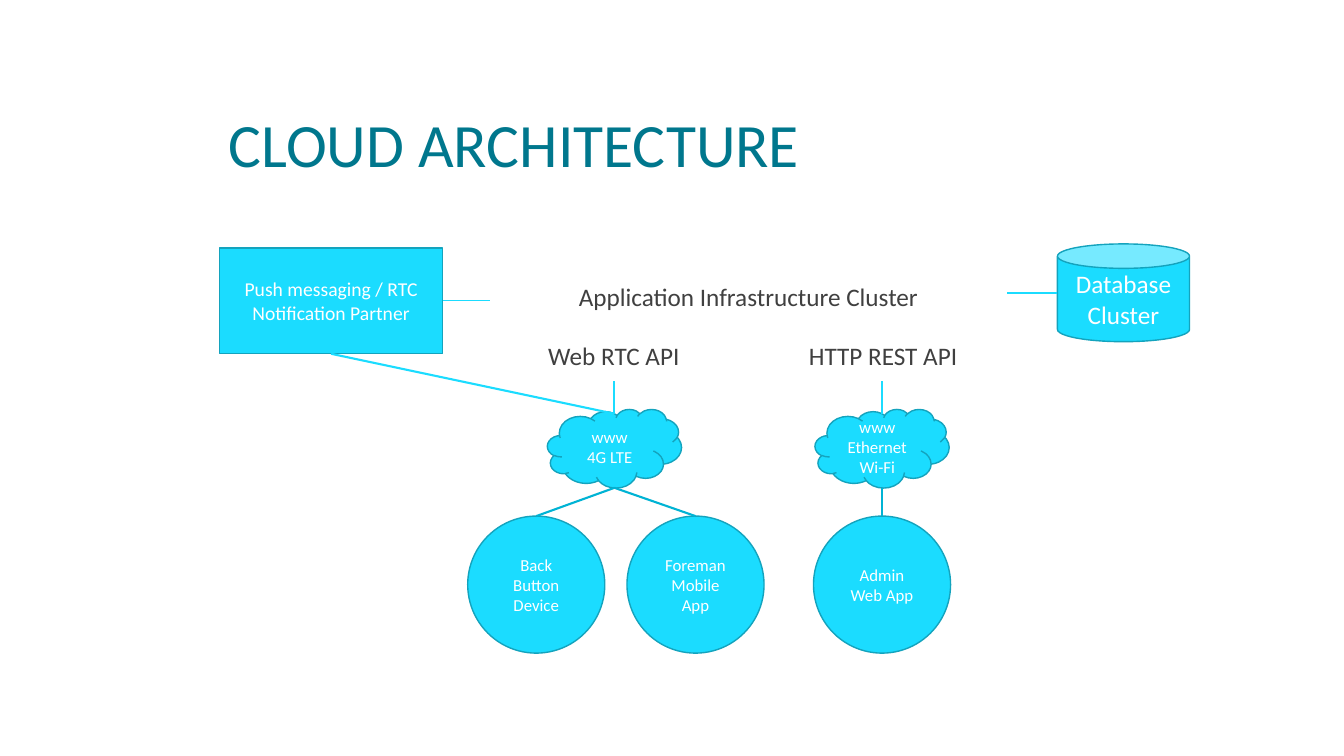
import pptx
import pptx.util
import pptx.dml.color
import pptx.enum.shapes
import pptx.enum.text
import pptx.oxml.ns
import lxml.etree

RGBColor = pptx.dml.color.RGBColor
SHAPE = pptx.enum.shapes.MSO_SHAPE
ALIGN = pptx.enum.text.PP_ALIGN
ANCHOR = pptx.enum.text.MSO_ANCHOR

TEAL = RGBColor(0x00, 0x77, 0x8D)
CYAN = RGBColor(0x1B, 0xDC, 0xFF)
OUTLINE = RGBColor(0x14, 0xA3, 0xBD)
DEVICE_LINK = RGBColor(0x00, 0xB3, 0xD4)
GRAY = RGBColor(0x40, 0x40, 0x40)
WHITE = RGBColor(0xFF, 0xFF, 0xFF)
FONT = "Calibri"

# The grid has 100 columns and 100 rows
WIDTH = pptx.util.Inches(13.33)
HEIGHT = pptx.util.Inches(7.5)


def columns(count):
    return round(WIDTH * count / 100)


def rows(count):
    return round(HEIGHT * count / 100)


def place(left, top, width, height):
    return columns(left), rows(top), columns(width), rows(height)


def write(shape, lines, size, color, align=ALIGN.CENTER,
          anchor=ANCHOR.MIDDLE, spacing=None):
    frame = shape.text_frame
    frame.word_wrap = True
    frame.vertical_anchor = anchor
    for index, line in enumerate(lines):
        paragraph = frame.add_paragraph() if index else frame.paragraphs[0]
        paragraph.alignment = align
        if spacing:
            paragraph.line_spacing = spacing
        run = paragraph.add_run()
        run.text = line
        run.font.name = FONT
        run.font.size = pptx.util.Pt(size)
        run.font.color.rgb = color


def add_title(slide, text):
    box = slide.shapes.add_textbox(*place(16.28, 5.6, 76.9, 18.93))
    write(box, [text], 44, TEAL, ALIGN.LEFT, ANCHOR.BOTTOM, 0.85)


def add_node(slide, kind, grid_box, lines, size):
    shape = slide.shapes.add_shape(kind, *place(*grid_box))
    shape.shadow.inherit = False
    shape.fill.solid()
    shape.fill.fore_color.rgb = CYAN
    shape.line.color.rgb = OUTLINE
    shape.line.width = pptx.util.Pt(1)
    write(shape, lines, size, WHITE)
    return shape


def add_plate(slide, grid_box, text):
    shape = slide.shapes.add_shape(SHAPE.ROUNDED_RECTANGLE, *place(*grid_box))
    shape.adjustments[0] = 0.1
    shape.shadow.inherit = False
    shape.fill.solid()
    shape.fill.fore_color.rgb = WHITE
    shape.line.fill.background()
    write(shape, [text], 18, GRAY, spacing=0.9)
    return shape


def add_link(slide, start, end, color=CYAN, width=1.5):
    connector = slide.shapes.add_connector(
        pptx.enum.shapes.MSO_CONNECTOR.STRAIGHT, *start, *end)
    connector.line.color.rgb = color
    connector.line.width = pptx.util.Pt(width)
    lxml.etree.SubElement(connector._element.spPr,
                          pptx.oxml.ns.qn("a:effectLst"))


def top(shape, inset=0):
    return shape.left + shape.width // 2, shape.top + rows(inset)


def bottom(shape):
    return shape.left + shape.width // 2, shape.top + shape.height


def left(shape):
    return shape.left, shape.top + shape.height // 2


def right(shape):
    return shape.left + shape.width, shape.top + shape.height // 2


def main():
    presentation = pptx.Presentation()
    presentation.slide_width = WIDTH
    presentation.slide_height = HEIGHT
    slide = presentation.slides.add_slide(presentation.slide_layouts[6])

    add_title(slide, "CLOUD ARCHITECTURE")

    # Application cluster and its two interfaces
    cluster = add_plate(slide, (36.45, 36.4, 38.48, 6.13),
                        "Application Infrastructure Cluster")
    web_api, rest_api = [
        add_plate(slide, (column, 44.27, 18.45, 6.13), text)
        for column, text in ((36.45, "Web RTC API"), (56.48, "HTTP REST API"))]

    # Database and notification partner
    database = add_node(slide, SHAPE.CAN, (78.68, 32.27, 9.83, 12.93),
                        ["Database Cluster"], 18)
    partner = add_node(slide, SHAPE.RECTANGLE, (16.35, 32.8, 16.58, 14),
                       ["Push messaging / RTC Notification Partner"], 14)

    # Devices and networks
    button, foreman, admin = [
        add_node(slide, SHAPE.OVAL, (column, 68.27, 10.2, 18.13), [text], 12)
        for column, text in ((34.8, "Back Button Device"),
                             (46.65, "Foreman Mobile App"),
                             (60.53, "Admin Web App"))]
    mobile_net, office_net = [
        add_node(slide, SHAPE.CLOUD, (column, 54.13, 9.98, 10.4),
                 ["www", text], 12)
        for column, text in ((40.73, "4G LTE"), (60.64, "Ethernet Wi-Fi"))]

    # Links from networks down to devices
    for network, device in ((mobile_net, foreman), (mobile_net, button),
                            (office_net, admin)):
        add_link(slide, bottom(network), top(device), DEVICE_LINK)

    # Links from networks up to interfaces
    for network, api in ((mobile_net, web_api), (office_net, rest_api)):
        network_top = top(network, 0.6)
        add_link(slide, network_top, (network_top[0], bottom(api)[1]))
    add_link(slide, top(mobile_net, 0.6), bottom(partner))

    # Level links on both sides of the cluster
    add_link(slide, left(database), (right(cluster)[0], left(database)[1]))
    add_link(slide, right(partner), (left(cluster)[0], right(partner)[1]),
             width=0.5)

    presentation.save("out.pptx")


if __name__ == "__main__":
    main()
